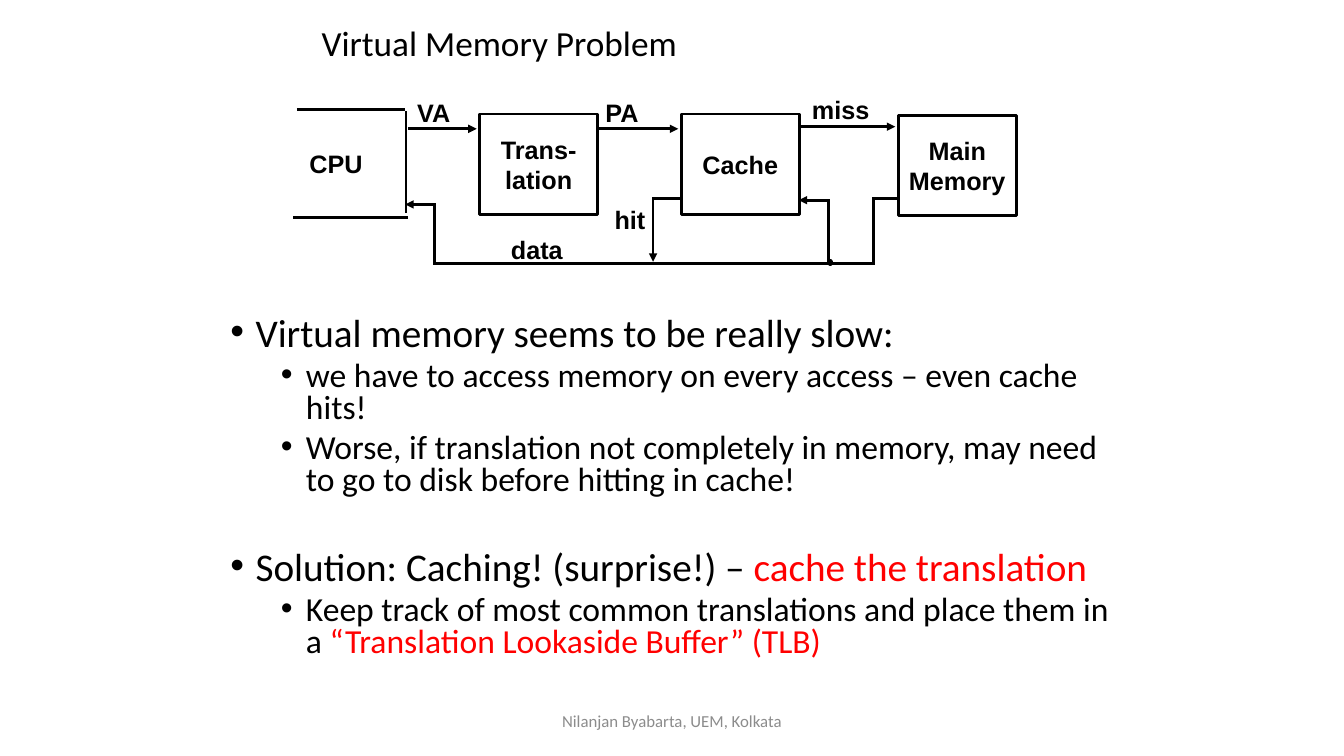
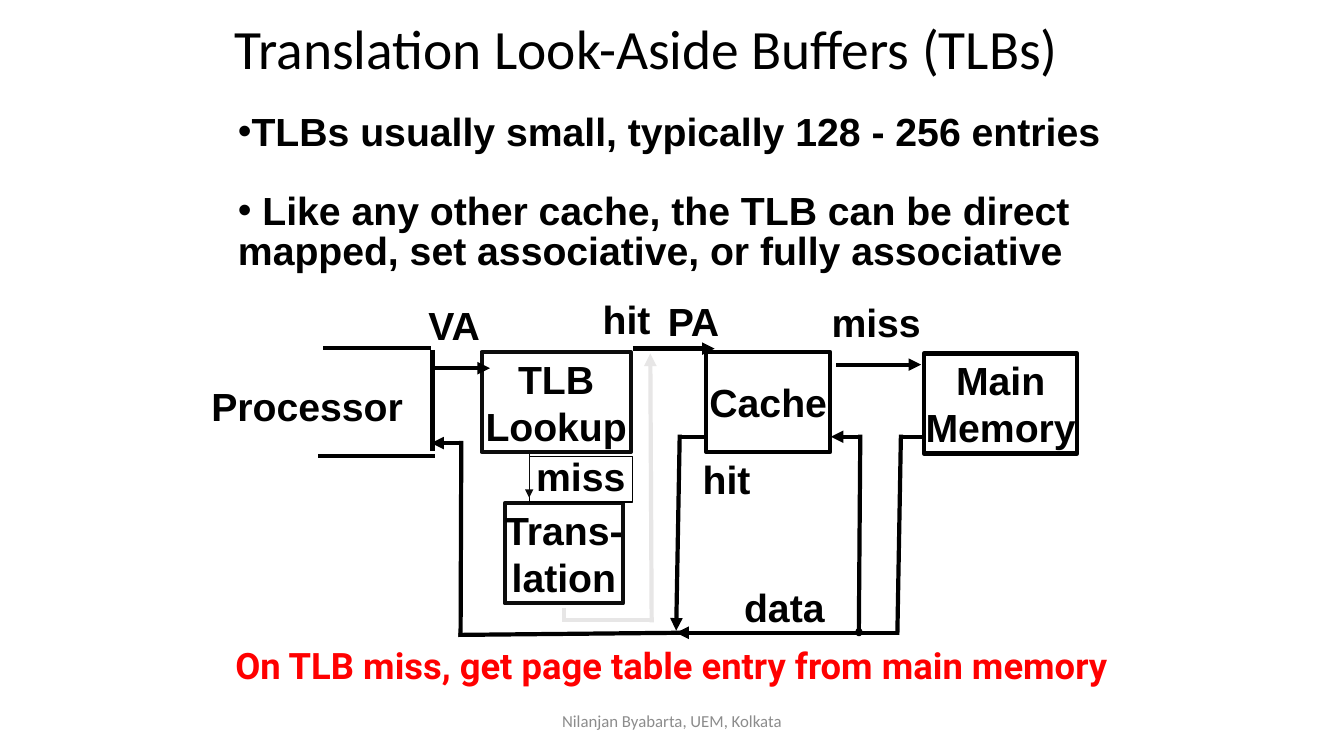
from itertools import pairwise

from lxml.etree import SubElement
from pptx import Presentation
from pptx.dml.color import RGBColor
from pptx.enum.shapes import MSO_CONNECTOR, MSO_SHAPE
from pptx.enum.text import MSO_ANCHOR, MSO_AUTO_SIZE, PP_ALIGN
from pptx.oxml.ns import qn
from pptx.util import Pt

BLACK = RGBColor(0x00, 0x00, 0x00)
NEAR_BLACK = RGBColor(0x0D, 0x0D, 0x0D)
RED = RGBColor(0xFF, 0x00, 0x00)
GREY = RGBColor(0x8C, 0x8C, 0x8C)
PALE_GREY = RGBColor(0xE7, 0xE6, 0xE6)
BLUE = RGBColor(0x44, 0x72, 0xC4)

BODY_FONT = "Calibri"
DIAGRAM_FONT = "Arial"
BOX_HEIGHT = 71.5


def write_paragraph(frame, runs, font, size, bold=False, align=PP_ALIGN.LEFT,
                    spacing=1.0, before=0, bullet=None):
    """Add a paragraph of (text, colour) runs; bullet is (left margin, hanging)."""
    first = frame.paragraphs[0]
    paragraph = frame.add_paragraph() if first.runs else first
    if bullet:
        properties = paragraph._p.get_or_add_pPr()
        properties.set("marL", str(Pt(bullet[0])))
        properties.set("indent", str(-Pt(bullet[1])))
        SubElement(properties, qn("a:buFont")).set("typeface", "Arial")
        SubElement(properties, qn("a:buChar")).set("char", "•")
    paragraph.alignment = align
    paragraph.line_spacing = spacing
    paragraph.space_before = Pt(before)
    for text, color in runs:
        run = paragraph.add_run()
        run.text = text
        run.font.name = font
        run.font.size = Pt(size)
        run.font.bold = bold
        run.font.color.rgb = color


def draw_route(slide, points, width, color=BLACK, arrow=True):
    """Join the points with straight connectors, with an arrowhead at the end."""
    for start, end in pairwise(points):
        connector = slide.shapes.add_connector(
            MSO_CONNECTOR.STRAIGHT, *(Pt(value) for value in start + end))
        connector.line.color.rgb = color
        connector.line.width = Pt(width)
        line = connector.line._get_or_add_ln()
        if len(points) > 2:  # square ends close the corners
            line.set("cap", "sq")
        if arrow and end == points[-1]:
            SubElement(line, qn("a:tailEnd")).set("type", "triangle")
        SubElement(connector._element.spPr, qn("a:effectLst"))


# Diagram contents: labels (text, left, top, width), boxes (lines, left, top,
# width, colour), plain edges of the processor and arrow routes
diagrams = [
    {
        "title": "Virtual Memory Problem",
        "title_box": (222.5, 18, 563, 29),
        "title_size": 25.2,
        "text_size": 18,
        "label_height": 22.5,
        "line_width": 2,
        "labels": [
            ("CPU", 216, 107, 52), ("VA", 293, 70.5, 40),
            ("PA", 427.5, 70.5, 40), ("miss", 575, 68.5, 55),
            ("hit", 434, 147, 40), ("data", 360, 168.5, 52),
        ],
        "boxes": [
            (["Trans-", "lation"], 342.5, 81.5, 84.5, BLACK),
            (["Cache"], 486.5, 81.5, 84.5, BLACK),
            (["Main", "Memory"], 641.5, 82.5, 84.5, BLACK),
        ],
        "edges": [
            [(212, 78.5), (289.5, 78.5)],
            [(290, 79.5), (290, 152.5)],
            [(291.5, 155.5), (209, 155.5)],
        ],
        "routes": [
            [(291.5, 92), (340.5, 92)],
            [(426.5, 92), (484.5, 92)],
            [(571.5, 90.5), (639.5, 90.5)],
            [(641.5, 142), (624, 142), (624, 188.5), (310.5, 188.5),
             (310.5, 146), (289.5, 146)],
            [(592, 188.5), (592, 143), (570.5, 143)],
            [(486.5, 142), (466.5, 142), (466.5, 187)],
        ],
        "dot": (592, 186),
    },
    {
        "title": "Translation Look-Aside Buffers (TLBs)",
        "title_box": (160.5, 21, 625, 32),
        "title_size": 39.6,
        "text_size": 28,
        "label_height": 32.5,
        "line_width": 3,
        "labels": [
            ("Processor", 146, 275.5, 152), ("VA", 301, 218, 54),
            ("PA", 472, 215, 54), ("miss", 589, 216, 78),
            ("hit", 497, 328, 56), ("data", 526.5, 419.5, 74),
            ("hit", 425.5, 213.5, 56), ("miss", 378, 326, 78),
        ],
        "boxes": [
            (["TLB", "Lookup"], 344, 251.5, 106.5, NEAR_BLACK),
            (["Cache"], 504.5, 251.5, 88.5, BLACK),
            (["Main", "Memory"], 660, 252.5, 109.5, BLACK),
            (["Trans-", "lation"], 360.5, 359.5, 84.5, NEAR_BLACK),
        ],
        "edges": [
            [(231, 248.5), (308, 248.5)],
            [(309, 250), (309, 322.5)],
            [(310.5, 325.5), (227, 325.5)],
        ],
        "routes": [
            [(310.5, 263), (350, 263)],
            [(452, 249), (510.5, 249)],
            [(597.5, 260.5), (658, 260.5)],
            [(660, 312), (643.5, 312), (641, 452), (483, 452)],
            [(485, 452), (329, 453.5), (329.5, 316.5), (308, 316.5)],
            [(613.5, 449.5), (614.5, 312), (593.5, 312)],
            [(504.5, 312), (485.5, 312), (483, 450.5)],
        ],
        "dot": (612.5, 450),
    },
]

presentation = Presentation()
presentation.slide_width = Pt(960)
presentation.slide_height = Pt(540)
title_only = presentation.slide_layouts[5]
slides = []

for diagram in diagrams:
    slide = presentation.slides.add_slide(title_only)
    slides.append(slide)
    size = diagram["text_size"]
    width = diagram["line_width"]

    # Title
    title = slide.shapes.title
    title.left, title.top, title.width, title.height = (
        Pt(value) for value in diagram["title_box"])
    title.text_frame.auto_size = MSO_AUTO_SIZE.NONE
    title.text_frame.vertical_anchor = MSO_ANCHOR.MIDDLE
    write_paragraph(title.text_frame, [(diagram["title"], BLACK)], BODY_FONT,
                    diagram["title_size"], spacing=0.9)

    # Boxes
    for lines, left, top, box_width, color in diagram["boxes"]:
        box = slide.shapes.add_shape(MSO_SHAPE.RECTANGLE, Pt(left), Pt(top),
                                     Pt(box_width), Pt(BOX_HEIGHT))
        box.shadow.inherit = False
        box.fill.background()
        box.line.color.rgb = color
        box.line.width = Pt(width)
        box.text_frame.word_wrap = False
        box.text_frame.vertical_anchor = MSO_ANCHOR.MIDDLE
        for line in lines:
            write_paragraph(box.text_frame, [(line, BLACK)], DIAGRAM_FONT, size,
                            bold=True, align=PP_ALIGN.CENTER)

    # Processor edges and arrows
    for edge in diagram["edges"]:
        draw_route(slide, edge, width, arrow=False)
    for route in diagram["routes"]:
        draw_route(slide, route, width)

    # Junction dot
    dot_left, dot_top = diagram["dot"]
    dot = slide.shapes.add_shape(MSO_SHAPE.OVAL, Pt(dot_left), Pt(dot_top),
                                 Pt(2), Pt(3))
    dot.shadow.inherit = False
    dot.fill.solid()
    dot.fill.fore_color.rgb = BLUE
    dot.line.color.rgb = BLACK
    dot.line.width = Pt(width)

    # Labels
    for text, left, top, label_width in diagram["labels"]:
        label = slide.shapes.add_textbox(Pt(left), Pt(top), Pt(label_width),
                                         Pt(diagram["label_height"]))
        frame = label.text_frame
        frame.margin_left = frame.margin_right = Pt(5)
        frame.margin_top = frame.margin_bottom = Pt(2.5)
        frame.word_wrap = False
        frame.auto_size = MSO_AUTO_SIZE.NONE
        write_paragraph(frame, [(text, BLACK)], DIAGRAM_FONT, size, bold=True,
                        spacing=0.85)

    # Footer
    footer = slide.shapes.add_textbox(Pt(318), Pt(500.5), Pt(324), Pt(29))
    footer.text_frame.word_wrap = True
    footer.text_frame.vertical_anchor = MSO_ANCHOR.MIDDLE
    write_paragraph(footer.text_frame, [("Nilanjan Byabarta, UEM, Kolkata", GREY)],
                    BODY_FONT, 12, align=PP_ALIGN.CENTER)

problem_slide, buffer_slide = slides

# Problem slide: body text as (level, space before, runs)
body_paragraphs = [
    (0, 0, [("Virtual memory seems to be really slow:", BLACK)]),
    (1, 5, [("we have to access memory on every access – even cache hits!", BLACK)]),
    (1, 5, [("Worse, if translation not completely in memory, may need to go to "
             "disk before hitting in cache!", BLACK)]),
    (0, 38, [("Solution: Caching! (surprise!) – ", BLACK),
             ("cache the translation", RED)]),
    (1, 5, [("Keep track of most common translations and place them in a ", BLACK),
            ("“Translation Lookaside Buffer” (TLB)", RED)]),
]
body = problem_slide.shapes.add_textbox(Pt(157.5), Pt(223), Pt(645), Pt(262))
body.text_frame.word_wrap = True
for level, before, runs in body_paragraphs:
    write_paragraph(body.text_frame, runs, BODY_FONT, 28 - 4 * level, spacing=0.8,
                    before=before, bullet=(18 + 36 * level, 18))
    body.text_frame.paragraphs[-1].level = level

# Buffer slide: facts above the diagram
facts = buffer_slide.shapes.add_textbox(Pt(165), Pt(79), Pt(654), Pt(119))
frame = facts.text_frame
frame.word_wrap = True
frame.margin_left = frame.margin_right = Pt(5)
frame.margin_top = frame.margin_bottom = Pt(2.5)
for text, before in [
    ("TLBs usually small, typically 128 - 256 entries", 0),
    (" Like any other cache, the TLB can be direct mapped, set associative, "
     "or fully associative", 28.5),
]:
    write_paragraph(frame, [(text, BLACK)], DIAGRAM_FONT, 28, bold=True,
                    spacing=0.85, before=before, bullet=(0, 0))

# Buffer slide: lookup miss and the way back from translation
miss_frame = buffer_slide.shapes.add_shape(MSO_SHAPE.RECTANGLE, Pt(378), Pt(326),
                                           Pt(74), Pt(32.5))
miss_frame.shadow.inherit = False
miss_frame.fill.background()
miss_frame.line.color.rgb = BLACK
miss_frame.line.width = Pt(1)
draw_route(buffer_slide, [(378, 323.5), (378, 355.5)], 0.5, NEAR_BLACK)
draw_route(buffer_slide, [(403, 436), (403, 443), (465.5, 443), (464.5, 252.5)],
           3, PALE_GREY)

# Buffer slide: conclusion
conclusion = buffer_slide.shapes.add_textbox(Pt(132), Pt(456), Pt(696), Pt(38))
conclusion.text_frame.word_wrap = True
write_paragraph(conclusion.text_frame,
                [("On TLB miss, get page table entry from main memory", RED)],
                "Roboto", 26, bold=True, align=PP_ALIGN.CENTER)

presentation.save("out.pptx")
